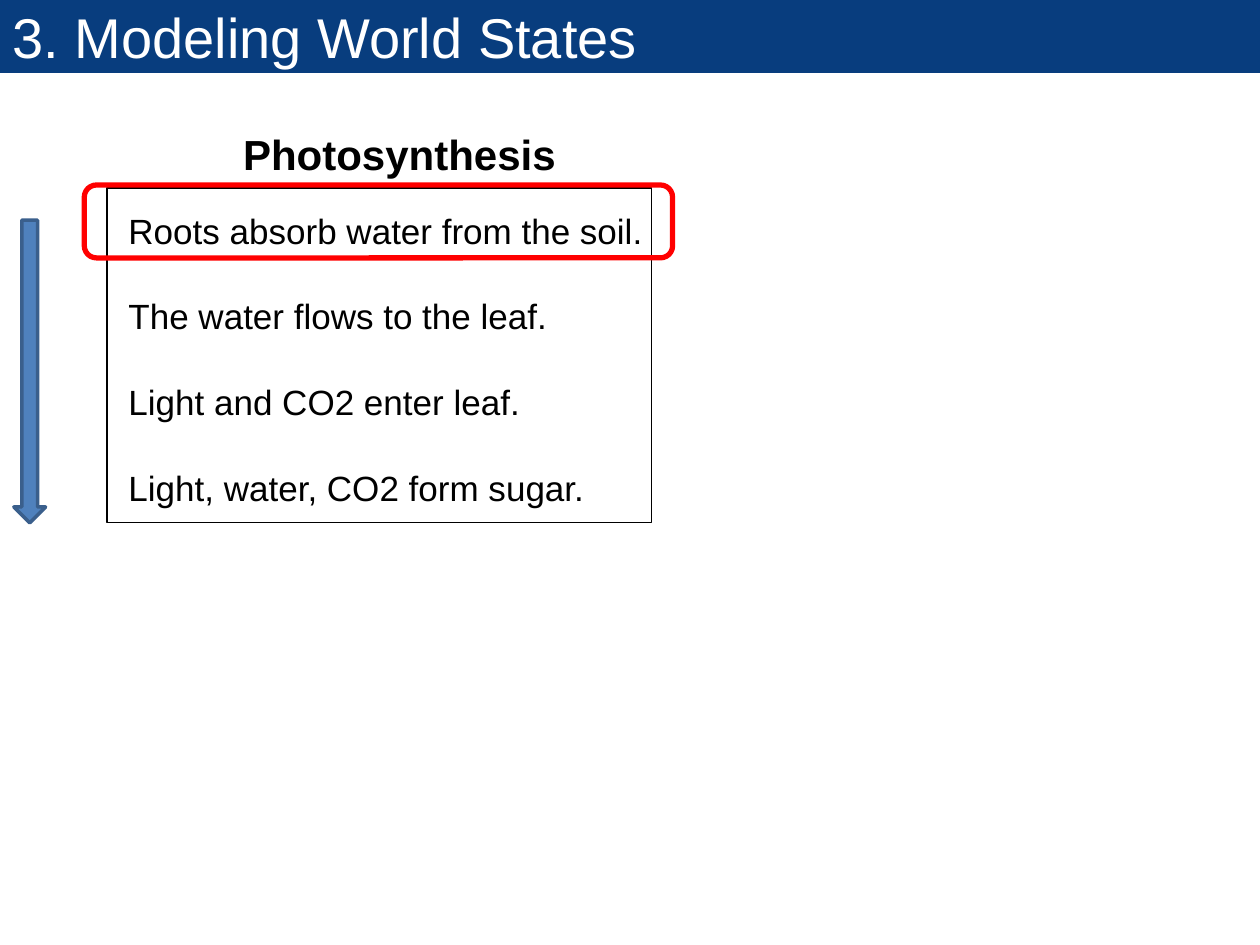
"""Builds the slide on modeling world states with the photosynthesis steps."""
from pptx import Presentation
from pptx.dml.color import RGBColor
from pptx.enum import shapes, text
from pptx.util import Cm, Pt

NAVY = RGBColor(0x08, 0x3D, 0x7E)
BLUE = RGBColor(0x4F, 0x81, 0xBD)
DARK_BLUE = RGBColor(0x3A, 0x5F, 0x8C)
RED = RGBColor(0xFF, 0x00, 0x00)
BLACK = RGBColor(0x00, 0x00, 0x00)
WHITE = RGBColor(0xFF, 0xFF, 0xFF)

STEPS = (
    "Roots absorb water from the soil.",
    "The water flows to the leaf.",
    "Light and CO2 enter leaf.",
    "Light, water, CO2 form sugar.",
)


def add_figure(slide, kind, box, fill=None, line=None, width=0):
    figure = slide.shapes.add_shape(kind, *map(Cm, box))
    figure.shadow.inherit = False
    if fill is None:
        figure.fill.background()
    else:
        figure.fill.solid()
        figure.fill.fore_color.rgb = fill
    if line is None:
        figure.line.fill.background()
    else:
        figure.line.color.rgb = line
        figure.line.width = Pt(width)
    return figure


def write(frame, lines, size, color=BLACK, bold=False, gap=0):
    frame.text = "\n".join(lines)
    for index, paragraph in enumerate(frame.paragraphs):
        paragraph.alignment = text.PP_ALIGN.LEFT
        if index and gap:
            paragraph.space_before = Pt(gap)
        for run in paragraph.runs:
            run.font.name = "Arial"
            run.font.size = Pt(size)
            run.font.bold = bold
            run.font.color.rgb = color


def add_label(slide, box, lines, size, wrap=True, **style):
    frame = slide.shapes.add_textbox(*map(Cm, box)).text_frame
    frame.word_wrap = wrap
    write(frame, lines, size, **style)


def main():
    deck = Presentation()
    deck.slide_width, deck.slide_height = Cm(25.4), Cm(19.05)
    slide = deck.slides.add_slide(deck.slide_layouts[6])
    kinds = shapes.MSO_SHAPE

    add_label(slide, (2.34, 4.09, 13.79, 7.0), STEPS, 20, gap=25)
    add_figure(slide, kinds.RECTANGLE, (2.16, 3.79, 10.97, 6.75),
               line=BLACK, width=0.75)
    title_bar = add_figure(slide, kinds.RECTANGLE, (0, 0, 25.4, 1.47), fill=NAVY)
    title_bar.text_frame.vertical_anchor = text.MSO_ANCHOR.MIDDLE
    write(title_bar.text_frame, ["3. Modeling World States"], 32, color=WHITE)
    add_figure(slide, kinds.DOWN_ARROW, (0.28, 4.44, 0.64, 6.1),
               fill=BLUE, line=DARK_BLUE, width=2)
    add_label(slide, (4.65, 2.46, 6.88, 1.27), ["Photosynthesis"], 24,
              wrap=False, bold=True)
    add_figure(slide, kinds.ROUNDED_RECTANGLE, (1.7, 3.73, 11.86, 1.47),
               line=RED, width=3)

    deck.save("out.pptx")


if __name__ == "__main__":
    main()
